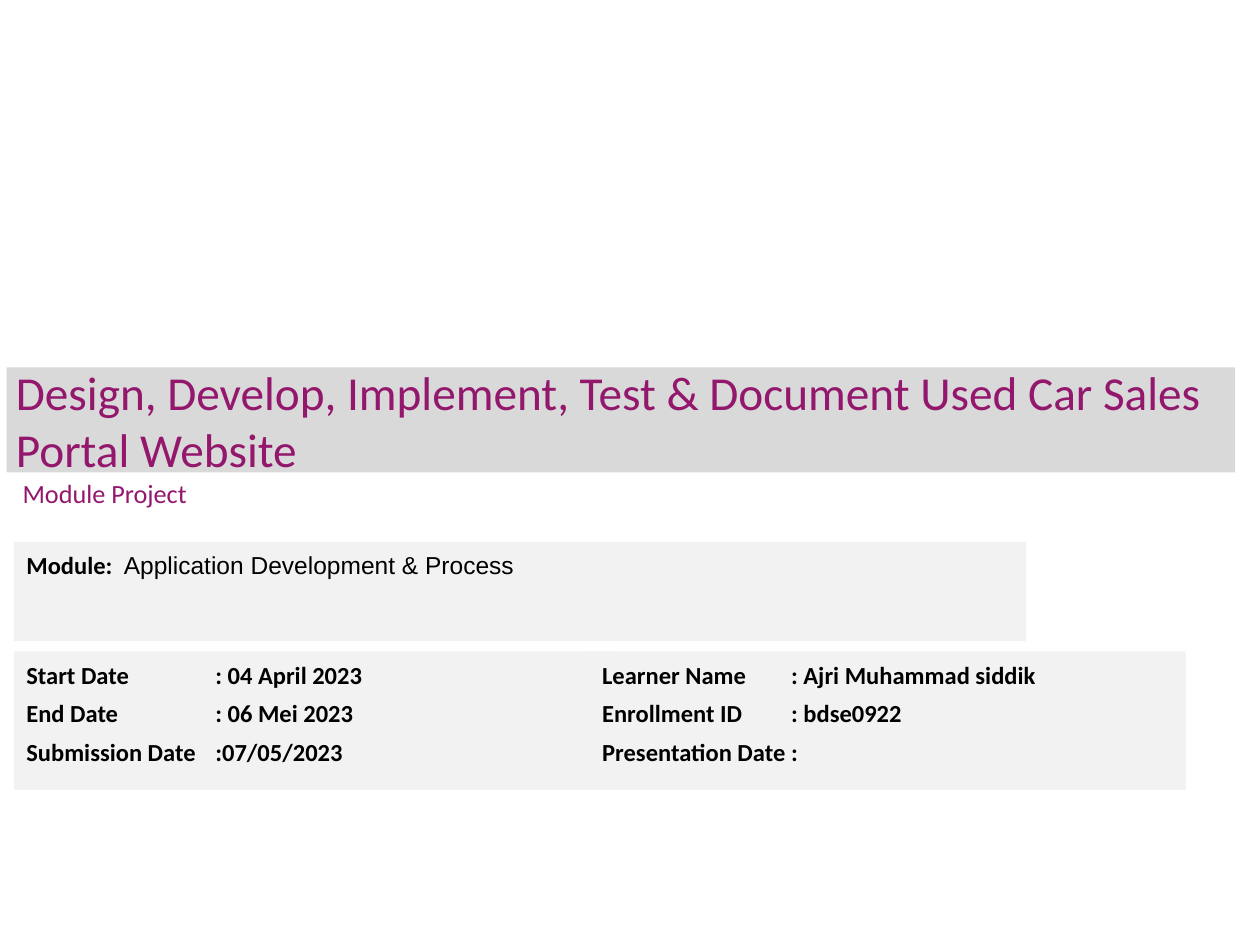
from lxml import etree
from pptx import Presentation
from pptx import util as u
from pptx.dml.color import RGBColor
from pptx.enum import shapes, text
from pptx.oxml.ns import qn

PLUM = RGBColor(0x93, 0x17, 0x6C)
BLACK = RGBColor(0, 0, 0)
BAND_GREY = RGBColor(0xD9, 0xD9, 0xD9)
PANEL_GREY = RGBColor(0xF2, 0xF2, 0xF2)

PANEL_LEFT, PANEL_WIDTH = 8, 340.5
DATES_TOP, DATES_HEIGHT = 372.25, 79.2


def add_run(paragraph, content, size=14, font="Calibri", color=BLACK, bold=False):
    run = paragraph.add_run()
    run.text = content
    run.font.size = u.Pt(size)
    run.font.name = font
    run.font.bold = bold
    run.font.color.rgb = color


def add_tab_stop(paragraph, position):
    properties = paragraph._p.get_or_add_pPr()
    tab_list = etree.SubElement(properties, qn("a:tabLst"))
    etree.SubElement(tab_list, qn("a:tab"), pos=str(u.Pt(position)), algn="l")


class CoverSlide:
    def __init__(self, presentation):
        self.slide = presentation.slides.add_slide(presentation.slide_layouts[5])

    def title(self, content, left, top, width, height):
        shape = self.slide.shapes.title
        shape.left, shape.top = u.Pt(left), u.Pt(top)
        shape.width, shape.height = u.Pt(width), u.Pt(height)
        shape.fill.solid()
        shape.fill.fore_color.rgb = BAND_GREY
        frame = shape.text_frame
        frame.auto_size = text.MSO_AUTO_SIZE.NONE
        frame.vertical_anchor = text.MSO_ANCHOR.MIDDLE
        frame.margin_left = frame.margin_right = u.Pt(5.3)
        frame.margin_top = frame.margin_bottom = u.Pt(2.7)
        paragraph = frame.paragraphs[0]
        paragraph.alignment = text.PP_ALIGN.LEFT
        add_run(paragraph, content, size=27, color=PLUM)

    def subtitle(self, content, left, top, width, height):
        shape = self.slide.shapes.add_textbox(*map(u.Pt, (left, top, width, height)))
        frame = shape.text_frame
        frame.word_wrap = True
        frame.vertical_anchor = text.MSO_ANCHOR.MIDDLE
        add_run(frame.paragraphs[0], content, size=15, color=PLUM)

    def panel(self, rows, left, top, width, height, tab, value_format):
        """Draw a grey box of label and value rows, values aligned at a tab stop."""
        shape = self.slide.shapes.add_shape(
            shapes.MSO_SHAPE.RECTANGLE, *map(u.Pt, (left, top, width, height)))
        shape.shadow.inherit = False
        shape.fill.solid()
        shape.fill.fore_color.rgb = PANEL_GREY
        shape.line.fill.background()
        frame = shape.text_frame
        frame.word_wrap = True
        frame.vertical_anchor = text.MSO_ANCHOR.TOP
        for index, (label, value) in enumerate(rows):
            paragraph = frame.add_paragraph() if index else frame.paragraphs[0]
            paragraph.alignment = text.PP_ALIGN.LEFT
            paragraph.line_spacing = u.Pt(18)
            paragraph.space_before = u.Pt(2 if index else 0)
            paragraph.space_after = u.Pt(2)
            add_tab_stop(paragraph, tab)
            add_run(paragraph, label + "\t", bold=True)
            add_run(paragraph, value, **value_format)


def main():
    presentation = Presentation()
    presentation.slide_width, presentation.slide_height = u.Pt(720), u.Pt(540)
    cover = CoverSlide(presentation)
    cover.title("Design, Develop, Implement, Test & Document Used Car Sales Portal Website",
                3.8, 210, 702, 60)
    cover.subtitle("Module Project", 5.8, 259.5, 462, 44.6)

    date_rows = [("Start Date", ": 04 April 2023"),
                 ("End Date", ": 06 Mei 2023"),
                 ("Submission Date", ":07/05/2023")]
    learner_rows = [("Learner Name", ": Ajri Muhammad siddik"),
                    ("Enrollment ID", ": bdse0922"),
                    ("Presentation Date", ":")]
    cover.panel(date_rows, PANEL_LEFT, DATES_TOP, PANEL_WIDTH, DATES_HEIGHT,
                tab=108, value_format={"bold": True})
    cover.panel([("Module:", "Application Development & Process")],
                PANEL_LEFT, 309.6, 578.2, 56.8, tab=55.7, value_format={"font": "Arial"})
    cover.panel(learner_rows, 337, DATES_TOP, PANEL_WIDTH, DATES_HEIGHT,
                tab=108, value_format={"bold": True})
    presentation.save("out.pptx")


if __name__ == "__main__":
    main()
